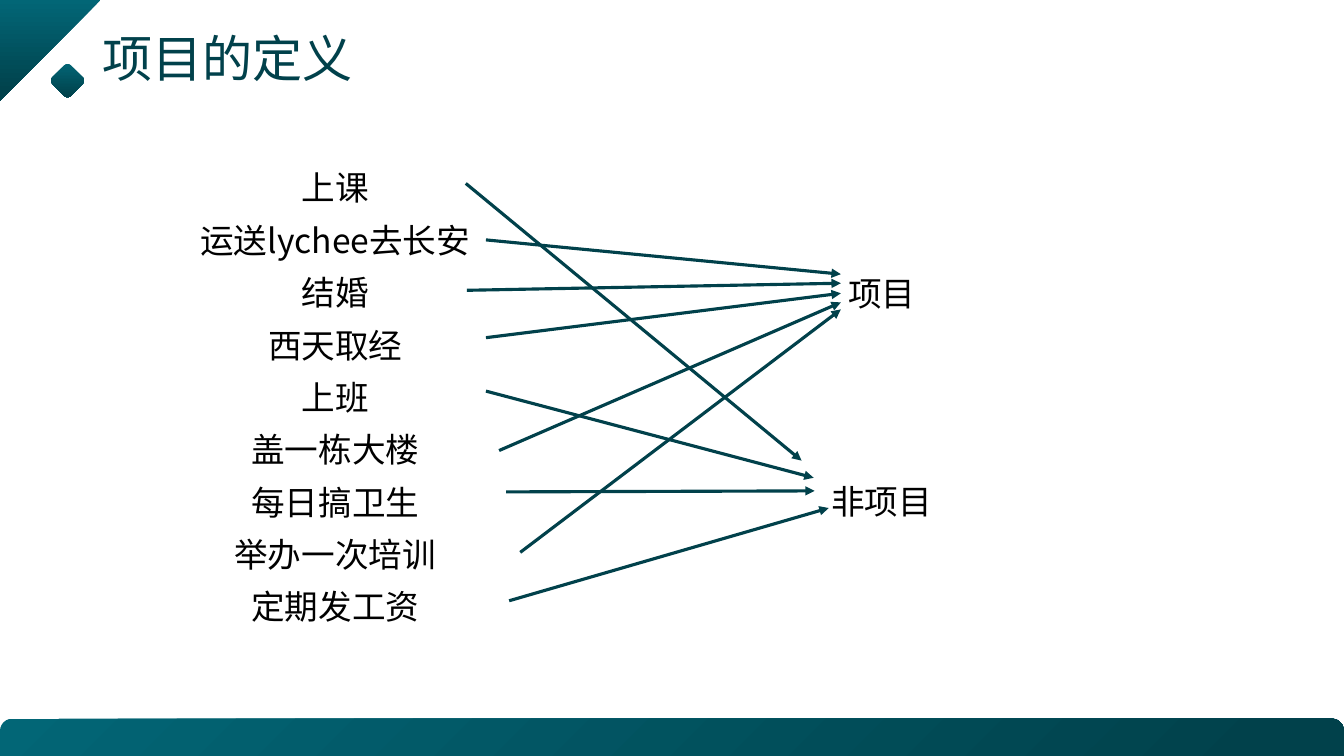
from lxml import etree
from pptx import Presentation
from pptx.dml.color import RGBColor
from pptx.enum.shapes import MSO_CONNECTOR as Connector, MSO_SHAPE as Shape
from pptx.enum.text import MSO_ANCHOR as Anchor, PP_ALIGN as Align
from pptx.oxml.ns import qn
from pptx.util import Inches, Pt

# Content
FONT = "Noto Sans CJK SC"
DARK, TEAL, BLACK = "01414B", "026676", "000000"
WIDTH, HEIGHT = 13.33, 7.5
TITLE = "项目的定义"
PROJECT, ROUTINE = "项目", "非项目"

# Activity, arrow start, arrow end
ACTIVITIES = [
    ("上课", (4.62, 1.82), (7.95, 4.57)),
    ("运送lychee去长安", (4.82, 2.38), (8.34, 2.72)),
    ("结婚", (4.63, 2.88), (8.34, 2.81)),
    ("西天取经", (4.82, 3.35), (8.34, 2.91)),
    ("上班", (4.82, 3.88), (8.07, 4.74)),
    ("盖一栋大楼", (4.95, 4.47), (8.34, 3)),
    ("每日搞卫生", (5.02, 4.88), (8.08, 4.87)),
    ("举办一次培训", (5.16, 5.48), (8.34, 3.07)),
    ("定期发工资", (5.05, 5.96), (8.22, 5.04)),
]

# Answer rows, counted down from the first answer
ANSWERS = [(PROJECT, 0), (ROUTINE, 4)]
ANSWER_TOP, ROW = 2.59, 0.516

# Corner outline: straight runs and the two rounded tips (Bezier points)
CORNER_RIGHT = [(0.82, 0.15), (0.88, 0.21), (0.88, 0.31), (0.82, 0.38)]
CORNER_BOTTOM = [(0.35, 0.84), (0.29, 0.9), (0.19, 0.9), (0.12, 0.84)]


def color(value):
    return RGBColor.from_string(value)


def curve(points, steps=12):
    """Points along a cubic Bezier curve."""
    result = []
    for step in range(steps + 1):
        t = step / steps
        weights = ((1 - t) ** 3, 3 * t * (1 - t) ** 2, 3 * t * t * (1 - t), t ** 3)
        result.append(tuple(sum(w * p[axis] for w, p in zip(weights, points))
                            for axis in (0, 1)))
    return result


def paint(shape, angle):
    shape.shadow.inherit = False
    shape.line.fill.background()
    shape.fill.gradient()
    shape.fill.gradient_angle = 360 - angle
    for stop, value, position in zip(shape.fill.gradient_stops, (TEAL, DARK), (0, 0.94)):
        stop.color.rgb = color(value)
        stop.position = position


def add_text(slide, box, lines, size, value, spacing, align, inset=0.0, anchor=Anchor.TOP):
    frame = slide.shapes.add_textbox(*map(Inches, box)).text_frame
    frame.word_wrap = True
    frame.vertical_anchor = anchor
    frame.margin_left = frame.margin_right = Inches(inset)
    frame.margin_top = frame.margin_bottom = 0
    frame.text = "\n".join(lines)
    for paragraph in frame.paragraphs:
        paragraph.alignment = align
        paragraph.line_spacing = spacing
        for run in paragraph.runs:
            run.font.size = Pt(size)
            run.font.name = FONT
            run.font.color.rgb = color(value)
            east_asian = etree.SubElement(run.font._element, qn("a:ea"))
            east_asian.set("typeface", FONT)


def add_arrow(slide, start, end):
    arrow = slide.shapes.add_connector(Connector.STRAIGHT, *map(Inches, start + end))
    arrow.line.color.rgb = color(DARK)
    arrow.line.width = Pt(2.25)
    etree.SubElement(arrow.line._get_or_add_ln(), qn("a:tailEnd")).set("type", "triangle")
    etree.SubElement(arrow._element.spPr, qn("a:effectLst"))


def add_decoration(slide):
    # Top left corner
    outline = [(0.67, 0), *curve(CORNER_RIGHT), *curve(CORNER_BOTTOM), (0, 0.71)]
    builder = slide.shapes.build_freeform(0, 0, scale=Inches(1))
    builder.add_line_segments(outline, close=True)
    paint(builder.convert_to_shape(), 90)

    # Small diamond
    diamond = slide.shapes.add_shape(
        Shape.ROUNDED_RECTANGLE, *map(Inches, (0.54, 0.67, 0.26, 0.26)))
    diamond.rotation = 45
    paint(diamond, 45)

    # Bottom bar
    bar = slide.shapes.add_shape(
        Shape.ROUND_2_SAME_RECTANGLE, *map(Inches, (0, HEIGHT - 0.37, WIDTH, 0.37)))
    bar.adjustments[0] = 0.33
    paint(bar, 45)


def main():
    presentation = Presentation()
    presentation.slide_width = Inches(WIDTH)
    presentation.slide_height = Inches(HEIGHT)
    slide = presentation.slides.add_slide(presentation.slide_layouts[6])

    add_decoration(slide)
    add_text(slide, (0.92, 0.33, 6.13, 0.55), [TITLE], 35.8, DARK, 0.9,
             Align.LEFT, 0.1, Anchor.MIDDLE)

    # Activities and answers
    add_text(slide, (1.79, 1.54, 3.07, 4.72), [name for name, _, _ in ACTIVITIES],
             24, BLACK, 1.3, Align.CENTER)
    for answer, row in ANSWERS:
        add_text(slide, (8.19, ANSWER_TOP + row * ROW, 1.11, ROW), [answer],
                 24, BLACK, 1.3, Align.CENTER)

    # Arrows from activity to answer
    for _, start, end in ACTIVITIES:
        add_arrow(slide, start, end)

    presentation.save("out.pptx")


if __name__ == "__main__":
    main()
